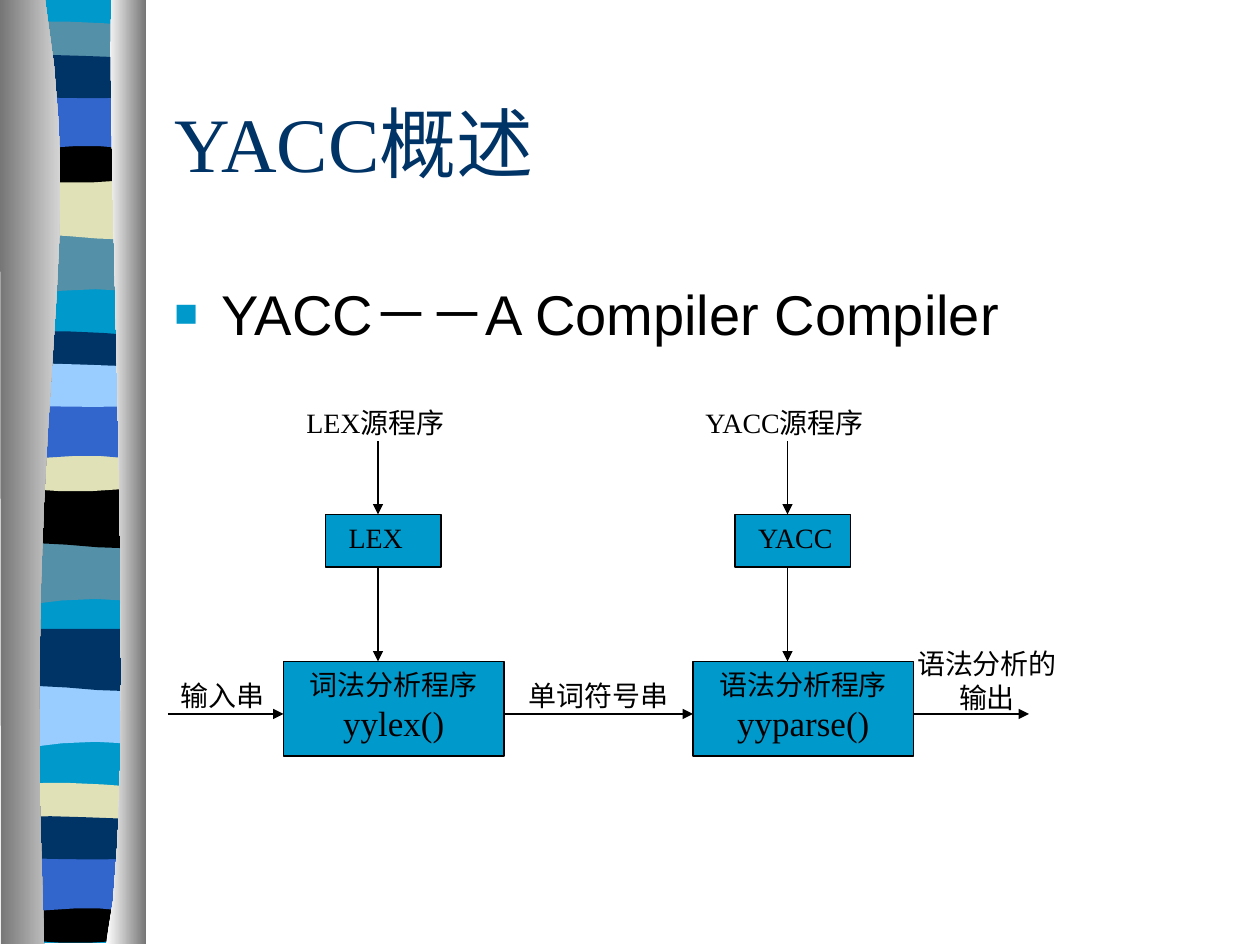
from dataclasses import dataclass

import pptx
import pptx.dml.color
import pptx.enum.shapes
import pptx.enum.text
import pptx.oxml
import pptx.oxml.ns
import pptx.util

PX = 7620
ALIGN = pptx.enum.text.PP_ALIGN
ANCHOR = pptx.enum.text.MSO_ANCHOR
RECT = pptx.enum.shapes.MSO_SHAPE.RECTANGLE


@dataclass(frozen=True)
class Theme:
    navy: str = "003366"
    cyan: str = "0099CC"
    slate: str = "5490A8"
    sand: str = "E1E1B7"
    blue: str = "3366CC"
    sky: str = "99CCFF"
    black: str = "000000"
    white: str = "FFFFFF"
    pale: str = "D5D5D5"
    gray: str = "767676"
    serif: str = "Times New Roman"
    sans: str = "Arial"
    title: int = 44
    body: int = 32
    code: int = 20
    label: int = 16
    line: float = 0.75


T = Theme()

FORMS = {
    "deep": [(130, 0), (130, 56), (40, 47, 22, 66, 0, 56), (0, 0)],
    "wave": [(130, 0), (130, 56), (108, 66, 40, 49, 0, 56), (0, 0)],
    "strip": [(130, 6), (130, 35), (108, 40, 22, 40, 0, 35), (0, 6),
              (20, 0, 60, 0, 130, 6)],
    "cap": [(130, 0), (130, 38), (108, 46, 22, 46, 0, 38), (0, 0),
            (79, 6, 102, 0, 130, 0)],
    "arch": [(130, 0), (130, 56), (100, 48, 60, 48, 0, 56), (0, 0)],
    "bow": [(130, 6), (130, 43), (100, 46, 40, 44, 0, 43), (0, 6),
            (18, 0, 88, 6, 130, 6)],
}
BANDS = [
    ("deep", 222, T.slate), ("wave", 169, T.sand), ("strip", 19, T.slate),
    ("cap", 130, T.black), ("arch", 89, T.blue), ("bow", 49, T.navy),
    ("deep", 517, T.slate), ("wave", 463, T.black), ("strip", 314, T.navy),
    ("cap", 424, T.sand), ("arch", 384, T.blue), ("bow", 343, T.sky),
    ("deep", 653, T.sky), ("wave", 599, T.navy), ("strip", 744, T.sand),
    ("cap", 854, T.black), ("arch", 815, T.blue), ("bow", 774, T.navy),
]
LEFT = [(43, 0), (85, 259, 20, 355, 42, 899), (1, 899), (0, 0)]
RIGHT = [(106, 0), (101, 150, 133, 775, 101, 899), (139, 899), (139, 0)]


def rgb(code):
    return pptx.dml.color.RGBColor.from_string(code)


def paint(shape, color):
    shape.shadow.inherit = False
    shape.fill.solid()
    shape.fill.fore_color.rgb = rgb(color)
    shape.line.fill.background()


def place(shape, x, y, w, h):
    shape.left, shape.top, shape.width, shape.height = (
        v * PX for v in (x, y, w, h))


def write(frame, *runs, size=T.label, font=T.serif, color=T.black,
          align=ALIGN.LEFT, anchor=ANCHOR.TOP):
    frame.word_wrap = True
    frame.auto_size = pptx.enum.text.MSO_AUTO_SIZE.NONE
    frame.vertical_anchor = anchor
    para = frame.paragraphs[0]
    para.alignment = align
    para.space_before = pptx.util.Pt(0)
    for item in runs:
        words, points = item if isinstance(item, tuple) else (item, size)
        run = para.add_run()
        run.text = words
        run.font.size = pptx.util.Pt(points)
        run.font.name = font
        run.font.color.rgb = rgb(color)
    return para


def trace(steps, count):
    points = []
    for step in steps:
        if len(step) == 2:
            points.append(step)
            continue
        a, b, c, d = points[-1], step[:2], step[2:4], step[4:]
        for i in range(1, count + 1):
            t = i / count
            u = 1 - t
            points.append(tuple(
                u**3 * a[k] + 3 * u * u * t * b[k] + 3 * u * t * t * c[k] + t**3 * d[k]
                for k in (0, 1)))
    return points


def draw(slide, steps, x, y, color, count=5):
    points = [((x + p) * PX, (y + q) * PX) for p, q in trace(steps, count)]
    pen = slide.shapes.build_freeform(*points[0], scale=1.0)
    pen.add_line_segments(points[1:], close=True)
    shape = pen.convert_to_shape()
    paint(shape, color)
    return shape


def pillar(slide, steps, x, y, first, last):
    shape = draw(slide, steps, x, y, first, count=12)
    shape.fill.gradient()
    shape.fill.gradient_angle = 0
    for stop, color, spot in zip(shape.fill.gradient_stops, (first, last), (0, 1)):
        stop.color.rgb = rgb(color)
        stop.position = spot


def ribbon(slide, x, y):
    base = slide.shapes.add_shape(RECT, 0, 0, 0, 0)
    place(base, x + 7, y, 130, 898)
    paint(base, T.cyan)
    for form, top, color in BANDS:
        draw(slide, FORMS[form], x + 7, y + top, color)
    pillar(slide, LEFT, x, y, T.gray, T.pale)
    pillar(slide, RIGHT, x, y, T.white, T.gray)


def heading(slide, x, y, w):
    title, body = slide.placeholders[0], slide.placeholders[1]
    place(title, x, y, w, 150)
    write(title.text_frame, "YACC概述", size=T.title, color=T.navy,
          anchor=ANCHOR.MIDDLE)
    place(body, x, y + 200, w, 540)
    para = write(body.text_frame, "YACC－－A Compiler Compiler",
                 size=T.body, font=T.sans)
    props = para._p.get_or_add_pPr()
    props.set("marL", str(45 * PX))
    props.set("indent", str(-45 * PX))
    space = pptx.oxml.ns.nsdecls("a")
    for mark in (f'<a:buClr {space}><a:srgbClr val="{T.cyan}"/></a:buClr>',
                 f'<a:buSzPct {space} val="70000"/>',
                 f'<a:buFont {space} typeface="{T.sans}"/>',
                 f'<a:buChar {space} char="■"/>'):
        props.append(pptx.oxml.parse_xml(mark))


def label(slide, words, x, y, w, h=44, **form):
    box = slide.shapes.add_textbox(0, 0, 0, 0)
    place(box, x, y, w, h)
    write(box.text_frame, words, **form)


def block(slide, *runs, x, y, w, h, inset=12, **form):
    shape = slide.shapes.add_shape(RECT, 0, 0, 0, 0)
    place(shape, x, y, w, h)
    paint(shape, T.cyan)
    shape.line.color.rgb = rgb(T.black)
    shape.line.width = pptx.util.Pt(T.line)
    frame = shape.text_frame
    frame.margin_left = inset * PX
    frame.margin_right = 0 if inset > 12 else inset * PX
    write(frame, *runs, **form)


def arrow(slide, *ends):
    kind = pptx.enum.shapes.MSO_CONNECTOR.STRAIGHT
    link = slide.shapes.add_connector(kind, *(v * PX for v in ends))
    link.line.color.rgb = rgb(T.black)
    link.line.width = pptx.util.Pt(T.line)
    props = link._element.spPr
    space = pptx.oxml.ns.nsdecls("a")
    props.find(pptx.oxml.ns.qn("a:ln")).append(
        pptx.oxml.parse_xml(f'<a:tailEnd {space} type="triangle"/>'))
    props.append(pptx.oxml.parse_xml(f"<a:effectLst {space}/>"))


def column(slide, x, y, tool, task, call, shift, w, h):
    label(slide, f"{tool}源程序", x + shift, y, w, h)
    block(slide, tool, x=x + 40, y=y + 110, w=110, h=50, inset=22)
    block(slide, task, (call, T.code), x=x, y=y + 250, w=210, h=90,
          align=ALIGN.CENTER)
    for start, end in ((40, 110), (160, 250)):
        arrow(slide, x + 90, y + start, x + 90, y + end)


def flow(slide, x, y):
    column(slide, x + 110, y, "LEX", "词法分析程序", "yylex()", 10, 160, 77)
    column(slide, x + 500, y, "YACC", "语法分析程序", "yyparse()", 0, 190, 44)
    for start, end in ((0, 110), (320, 500), (710, 820)):
        arrow(slide, x + start, y + 300, x + end, y + 300)
    label(slide, "输入串", x, y + 260, 110)
    label(slide, "单词符号串", x + 320, y + 260, 180, align=ALIGN.CENTER)
    label(slide, "语法分析的输出", x + 690, y + 230, 180, 77, align=ALIGN.CENTER)


def main():
    deck = pptx.Presentation()
    deck.slide_width, deck.slide_height = 1200 * PX, 900 * PX
    slide = deck.slides.add_slide(deck.slide_layouts[1])
    ribbon(slide, 0, 0)
    heading(slide, 154, 60, 1020)
    flow(slide, 160, 380)
    deck.save("out.pptx")


if __name__ == "__main__":
    main()
